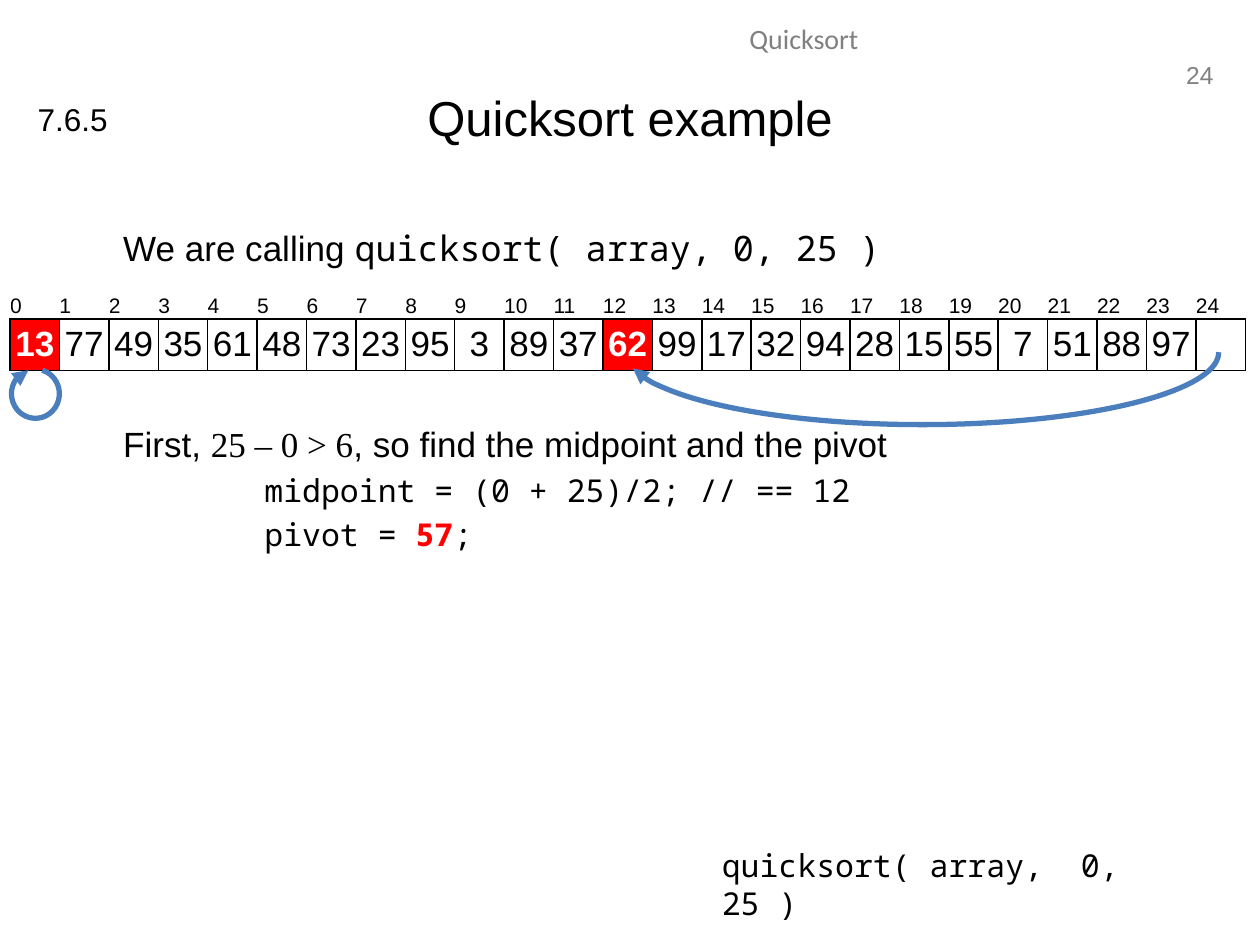
from collections import namedtuple
from dataclasses import dataclass

from lxml.etree import SubElement
from pptx import Presentation
from pptx.dml.color import RGBColor
from pptx.enum.shapes import MSO_SHAPE
from pptx.enum.text import MSO_ANCHOR, PP_ALIGN
from pptx.oxml.ns import qn
from pptx.util import Inches, Pt

Box = namedtuple("Box", "left top width height")
UNIT = 0.1  # grid pitch in inches: 100 columns by 75 rows
COLUMNS, ROWS = 100, 75


@dataclass(frozen=True)
class Theme:
    ink: str = "000000"
    paper: str = "FFFFFF"
    muted: str = "808080"
    pivot: str = "FF0000"
    arrow: str = "4B7EBC"
    sans: str = "Arial"
    header_face: str = "Calibri"
    code_face: str = "Noto Sans Mono"
    math_face: str = "Times New Roman"
    title: int = 28
    body: int = 20
    code: int = 18
    header: int = 16
    number: int = 14
    index: int = 12


THEME = Theme()
VALUES = [13, 77, 49, 35, 61, 48, 73, 23, 95, 3, 89, 37, 62, 99, 17,
          32, 94, 28, 15, 55, 7, 51, 88, 97, ""]
PIVOT_CANDIDATES = (0, 12)
INDEX_ROW, VALUE_ROW = 1.9, 4.1


def grid(count):
    return Inches(count * UNIT)


def place(box):
    return [grid(length) for length in box]


def colour(value):
    return RGBColor.from_string(value)


def write(paragraph, text, size=THEME.body, face=THEME.sans, ink=THEME.ink,
          bold=False, align=None):
    run = paragraph.add_run()
    run.text = text
    run.font.size = Pt(size)
    run.font.name = face
    run.font.color.rgb = colour(ink)
    run.font.bold = bold
    if align is not None:
        paragraph.alignment = align


def text_frame(slide, box, wrap=True):
    frame = slide.shapes.add_textbox(*place(box)).text_frame
    frame.word_wrap = wrap
    return frame


def label(slide, box, text, wrap=True, **style):
    write(text_frame(slide, box, wrap).paragraphs[0], text, **style)


def heading(slide, box):
    title = slide.shapes.title
    title.left, title.top, title.width, title.height = place(box)
    title.text_frame.vertical_anchor = MSO_ANCHOR.MIDDLE
    write(title.text_frame.paragraphs[0], "Quicksort example",
          size=THEME.title, align=PP_ALIGN.CENTER)


def page_marks(slide, box):
    """Running header, page number and section number."""
    left, top, width, _ = box
    label(slide, Box(left + 0.319 * width, top + 1.2, 0.638 * width, 4),
          "Quicksort", size=THEME.header, face=THEME.header_face,
          ink=THEME.muted, align=PP_ALIGN.CENTER)
    label(slide, Box(left + 0.929 * width, top + 4.25, 4.4, 3.3), "24",
          wrap=False, size=THEME.number, ink=THEME.muted,
          align=PP_ALIGN.RIGHT)
    label(slide, Box(left + 0.02 * width, top + 7.45, 7.6, 4), "7.6.5",
          wrap=False, size=THEME.code)


def explanation(slide, box, lines):
    """Lines are (indent in columns, space before, [(text, style), ...])."""
    frame = text_frame(slide, box)
    for position, (indent, space, runs) in enumerate(lines):
        paragraph = frame.add_paragraph() if position else frame.paragraphs[0]
        paragraph._p.get_or_add_pPr().set("marL", str(grid(indent)))
        paragraph.space_before = Pt(space)
        for text, style in runs:
            write(paragraph, text, **style)


def cell_border(cell):
    properties = cell._tc.get_or_add_tcPr()
    for position, side in enumerate(("lnL", "lnR", "lnT", "lnB")):
        line = properties.makeelement(qn(f"a:{side}"), {"w": str(Pt(1))})
        fill = SubElement(line, qn("a:solidFill"))
        SubElement(fill, qn("a:srgbClr"), val=THEME.ink)
        properties.insert(position, line)


def array_cell(cell, text, fill=None, **style):
    cell.margin_left = cell.margin_right = 0
    cell.margin_top = cell.margin_bottom = 0
    cell.vertical_anchor = MSO_ANCHOR.MIDDLE
    if fill:
        cell.fill.solid()
        cell.fill.fore_color.rgb = colour(fill)
    else:
        cell.fill.background()
    if text != "":
        write(cell.text_frame.paragraphs[0], str(text), **style)


def array_table(slide, box):
    table = slide.shapes.add_table(2, len(VALUES), *place(box)).table
    table.first_row = table.horz_banding = False
    table.rows[0].height, table.rows[1].height = grid(INDEX_ROW), grid(VALUE_ROW)
    for index, value in enumerate(VALUES):
        table.columns[index].width = grid(box.width / len(VALUES))
        chosen = index in PIVOT_CANDIDATES
        array_cell(table.cell(0, index), index, size=THEME.index)
        array_cell(table.cell(1, index), value,
                   fill=THEME.pivot if chosen else THEME.paper,
                   ink=THEME.paper if chosen else THEME.ink,
                   bold=chosen, align=PP_ALIGN.CENTER)
        cell_border(table.cell(1, index))


def arc_arrow(slide, box, start, end):
    """Arc mirrored top to bottom, angles in degrees, arrowhead at start."""
    arc = slide.shapes.add_shape(MSO_SHAPE.ARC, *place(box))
    arc.shadow.inherit = False
    arc.adjustments[0], arc.adjustments[1] = start * 0.6, end * 0.6
    arc.fill.background()
    arc.line.color.rgb = colour(THEME.arrow)
    arc.line.width = Pt(3)
    properties = arc._element.spPr
    properties.find(qn("a:xfrm")).set("flipV", "1")
    SubElement(properties.find(qn("a:ln")), qn("a:headEnd"), type="triangle")


def swap_arrows(slide, box):
    """Arrows from the last slot to the middle and from the first to itself."""
    def centre(index):
        return box.left + (index + 0.5) * box.width / len(VALUES)

    first, middle = PIVOT_CANDIDATES
    span = centre(len(VALUES) - 1) - centre(middle)
    arc_arrow(slide, Box(centre(middle) - 0.2, box.top - 1.1, span, 11.5),
              183.2, 0)
    arc_arrow(slide, Box(centre(first) - 1.85, box.top + box.height, 3.8, 3.9),
              106.53, 73.34)


def quicksort_slide(presentation):
    slide = presentation.slides.add_slide(presentation.slide_layouts[5])
    code = {"face": THEME.code_face, "size": THEME.code}
    array_box = Box(0.8, 23.3, 98.1, INDEX_ROW + VALUE_ROW)

    page_marks(slide, Box(0, 0, COLUMNS, ROWS))
    heading(slide, Box(5, 3, 90, 12.5))
    explanation(slide, Box(5, 17.5, 90, 5), [
        (3.8, 0, [("We are calling ", {}),
                  ("quicksort( array, 0, 25 )", {"face": THEME.code_face})]),
    ])
    explanation(slide, Box(5, 33.05, 90, 12), [
        (3.8, 0, [("First, ", {}), ("25 – 0 > 6", {"face": THEME.math_face}),
                  (", so find the midpoint and the pivot", {})]),
        (15, 3.6, [("midpoint = (0 + 25)/2; // == 12", code)]),
        (15, 3.6, [("pivot = ", code),
                   ("57", {**code, "ink": THEME.pivot, "bold": True}),
                   (";", code)]),
    ])
    array_table(slide, array_box)
    label(slide, Box(56.3, 66.65, 40.2, 4), "quicksort( array,  0, 25 )", **code)
    swap_arrows(slide, array_box)


def main():
    presentation = Presentation()
    presentation.slide_width, presentation.slide_height = grid(COLUMNS), grid(ROWS)
    quicksort_slide(presentation)
    presentation.save("out.pptx")


if __name__ == "__main__":
    main()
